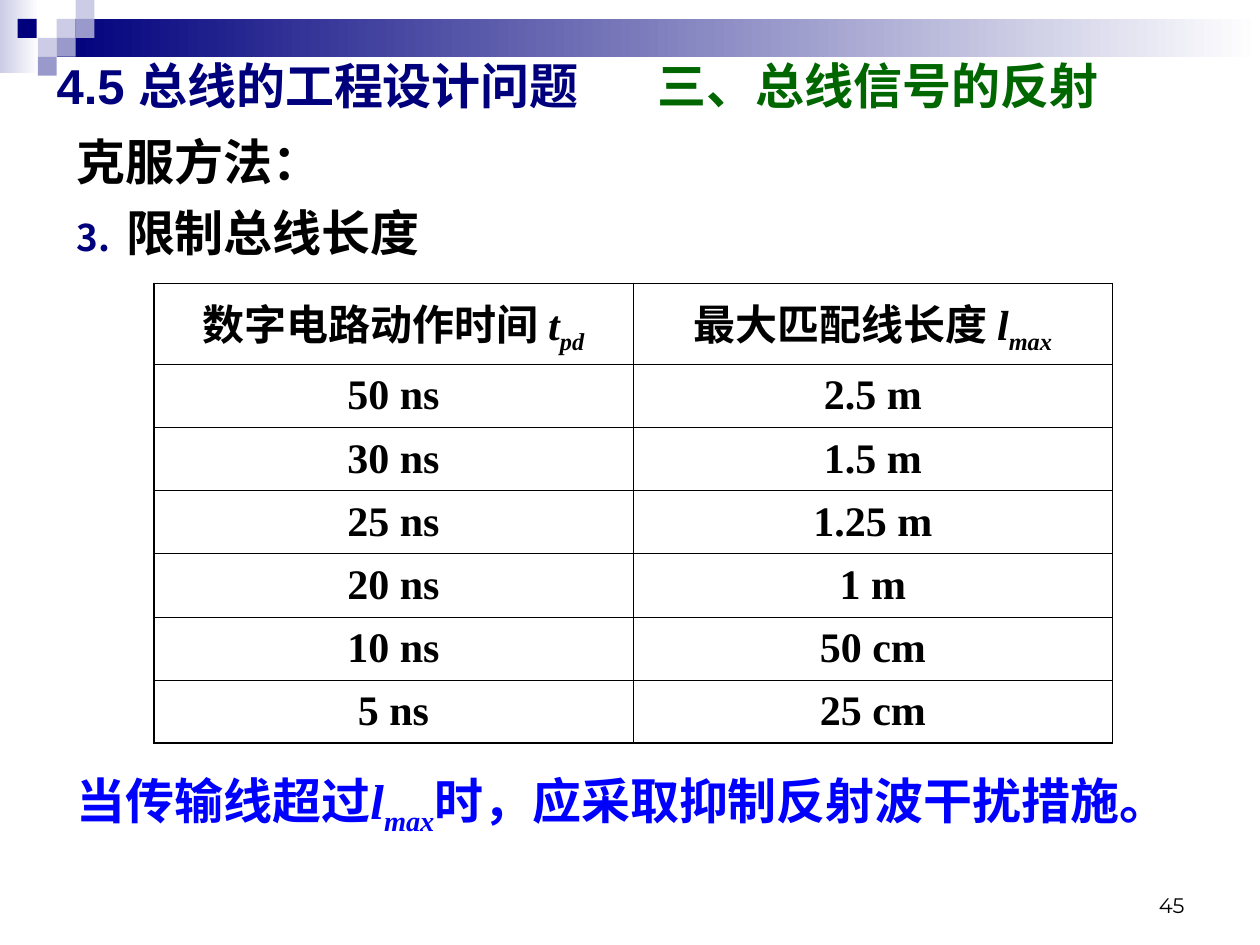
from lxml import etree
from pptx import Presentation
from pptx.dml.color import RGBColor
from pptx.enum.shapes import MSO_SHAPE
from pptx.enum.text import MSO_ANCHOR, MSO_AUTO_SIZE, PP_ALIGN
from pptx.oxml.ns import qn
from pptx.util import Inches, Pt

NAVY = RGBColor(0x00, 0x00, 0x7D)
LILAC = RGBColor(0xCC, 0xCC, 0xE6)
VIOLET = RGBColor(0x99, 0x99, 0xCC)
GREEN = RGBColor(0x00, 0x66, 0x00)
BLUE = RGBColor(0x00, 0x00, 0xFF)
BLACK = RGBColor(0x00, 0x00, 0x00)
WHITE = RGBColor(0xFF, 0xFF, 0xFF)

SERIF = "Times New Roman"
ITALIC = {"italic": True}
THICK, THIN = 1.08, 0.45

ROWS = [
    ("50 ns", "2.5 m"),
    ("30 ns", "1.5 m"),
    ("25 ns", "1.25 m"),
    ("20 ns", "1 m"),
    ("10 ns", "50 cm"),
    ("5 ns", "25 cm"),
]


def add_el(parent, tag, **attrs):
    el = etree.SubElement(parent, qn(tag))
    for name, value in attrs.items():
        el.set(name, str(value))
    return el


def add_run(p, text, size, color, name=SERIF, bold=True, italic=False):
    r = p.add_run()
    r.text = text
    r.font.color.rgb = color
    formats = {"size": Pt(size), "name": name, "bold": bold, "italic": italic}
    for attr, value in formats.items():
        setattr(r.font, attr, value)
    return r


def add_symbol(p, letter, index, size, color):
    """Add an italic letter with an italic subscript."""
    add_run(p, letter, size, color, **ITALIC)
    r = add_run(p, index, size, color, **ITALIC)
    r.font._element.set("baseline", "-25000")


def place(sp, left, top, width, height):
    box = {"left": left, "top": top, "width": width, "height": height}
    for attr, value in box.items():
        setattr(sp, attr, value)


def add_header_band(slide, left, top, width):
    group = slide.shapes.add_group_shape()

    def add_rect(x, y, w, h, *colors):
        sp = group.shapes.add_shape(MSO_SHAPE.RECTANGLE, left + Inches(x),
                                    top + Inches(y), w, h)
        sp.shadow.inherit = False
        sp.line.fill.background()
        if len(colors) == 1:
            sp.fill.solid()
            sp.fill.fore_color.rgb = colors[0]
            return
        sp.fill.gradient()
        sp.fill.gradient_angle = 0
        for i, (stop, color) in enumerate(zip(sp.fill.gradient_stops, colors)):
            stop.position = i
            stop.color.rgb = color

    add_rect(0, 0, Inches(0.31), Inches(0.58), LILAC, WHITE)
    add_rect(0.45, 0.15, width - Inches(0.45), Inches(0.3), NAVY, WHITE)
    squares = [(0.45, 0.15, LILAC), (0.6, 0, LILAC), (0.6, 0.15, VIOLET),
               (0.3, 0.3, LILAC), (0.14, 0.15, NAVY), (0.45, 0.3, VIOLET),
               (0.3, 0.45, VIOLET)]
    for x, y, color in squares:
        add_rect(x, y, Inches(0.15), Inches(0.15), color)
    slide.shapes.title.element.addprevious(group.element)


def fill_title(title, *box):
    place(title, *box)
    tf = title.text_frame
    tf.auto_size = MSO_AUTO_SIZE.NONE
    tf.vertical_anchor = MSO_ANCHOR.MIDDLE
    p = tf.paragraphs[0]
    p.alignment = PP_ALIGN.LEFT
    tabs = add_el(p._p.get_or_add_pPr(), "a:tabLst")
    add_el(tabs, "a:tab", pos=Inches(4.77), algn="l")
    add_run(p, "4.5 总线的工程设计问题\t", 28, NAVY, "Arial")
    add_run(p, "三、总线信号的反射", 28, GREEN, "Arial")


def fill_body(body, *box):
    place(body, *box)
    tf = body.text_frame
    tf.auto_size = MSO_AUTO_SIZE.NONE
    tf.vertical_anchor = MSO_ANCHOR.TOP

    def format_paragraph(p, space, number=None):
        p.space_before = Pt(space)
        pPr = p._p.get_or_add_pPr()
        pPr.set("marL", str(Inches(0.39)))
        pPr.set("indent", str(-Inches(0.39)))
        if number is None:
            add_el(pPr, "a:buNone")
            return
        add_el(add_el(pPr, "a:buClr"), "a:srgbClr", val=NAVY)
        add_el(pPr, "a:buSzPct", val=75000)
        add_el(pPr, "a:buFont", typeface=SERIF)
        add_el(pPr, "a:buAutoNum", type="arabicPeriod", startAt=number)

    heading, item, closing = (tf.paragraphs[0], tf.add_paragraph(),
                              tf.add_paragraph())
    format_paragraph(heading, 0)
    add_run(heading, "克服方法：", 28, BLACK)
    format_paragraph(item, 7, number=3)
    add_run(item, "限制总线长度", 28, BLACK)
    format_paragraph(closing, 291)  # leaves room for the table
    add_run(closing, "当传输线超过", 28, BLUE)
    add_symbol(closing, "l", "max", 28, BLUE)
    add_run(closing, "时，应采取抑制反射波干扰措施。", 28, BLUE)


def set_borders(cell, **widths):
    tcPr = cell._tc.get_or_add_tcPr()
    for side in "LRTB":
        ln = add_el(tcPr, f"a:ln{side}", w=Pt(widths[side]))
        add_el(add_el(ln, "a:solidFill"), "a:srgbClr", val=BLACK)


def add_length_table(slide, left, top, width, height):
    n_rows, n_cols = len(ROWS) + 1, 2
    table = slide.shapes.add_table(n_rows, n_cols, left, top,
                                   width, height).table
    table.first_row = table.horz_banding = False
    head_height = Inches(0.64)
    for i, row in enumerate(table.rows):
        row.height = (height - head_height) // len(ROWS) if i else head_height

    headers = [("数字电路动作时间 ", "t", "pd"), ("最大匹配线长度 ", "l", "max")]
    for i in range(n_rows):
        for j in range(n_cols):
            cell = table.cell(i, j)
            set_borders(cell, L=THIN if j else THICK,
                        R=THICK if j == n_cols - 1 else THIN,
                        T=THIN if i else THICK,
                        B=THICK if i == n_rows - 1 else THIN)
            cell.fill.background()
            cell.vertical_anchor = MSO_ANCHOR.MIDDLE
            p = cell.text_frame.paragraphs[0]
            p.alignment = PP_ALIGN.CENTER
            if i:
                add_run(p, ROWS[i - 1][j], 24, BLACK)
            else:
                label, letter, index = headers[j]
                add_run(p, label, 24, BLACK)
                add_symbol(p, letter, index, 24, BLACK)


def add_page_number(slide, *box):
    tf = slide.shapes.add_textbox(*box).text_frame
    tf.word_wrap = True
    tf.vertical_anchor = MSO_ANCHOR.BOTTOM
    p = tf.paragraphs[0]
    p.alignment = PP_ALIGN.RIGHT
    add_run(p, "45", 12, BLACK, "Montserrat", bold=False)


def main():
    prs = Presentation()
    prs.slide_width, prs.slide_height = Inches(10), Inches(7.5)
    slide = prs.slides.add_slide(prs.slide_layouts[1])
    add_header_band(slide, 0, 0, prs.slide_width)
    fill_title(slide.shapes.title,
               Inches(0.35), Inches(0.36), Inches(9.13), Inches(0.63))
    fill_body(slide.placeholders[1],
              Inches(0.51), Inches(0.99), Inches(9.29), Inches(5.91))
    add_length_table(slide, Inches(1.22), Inches(2.25), Inches(7.61), Inches(3.65))
    add_page_number(slide, Inches(7.17), Inches(6.83), Inches(2.33), Inches(0.5))
    prs.save("out.pptx")


if __name__ == "__main__":
    main()
